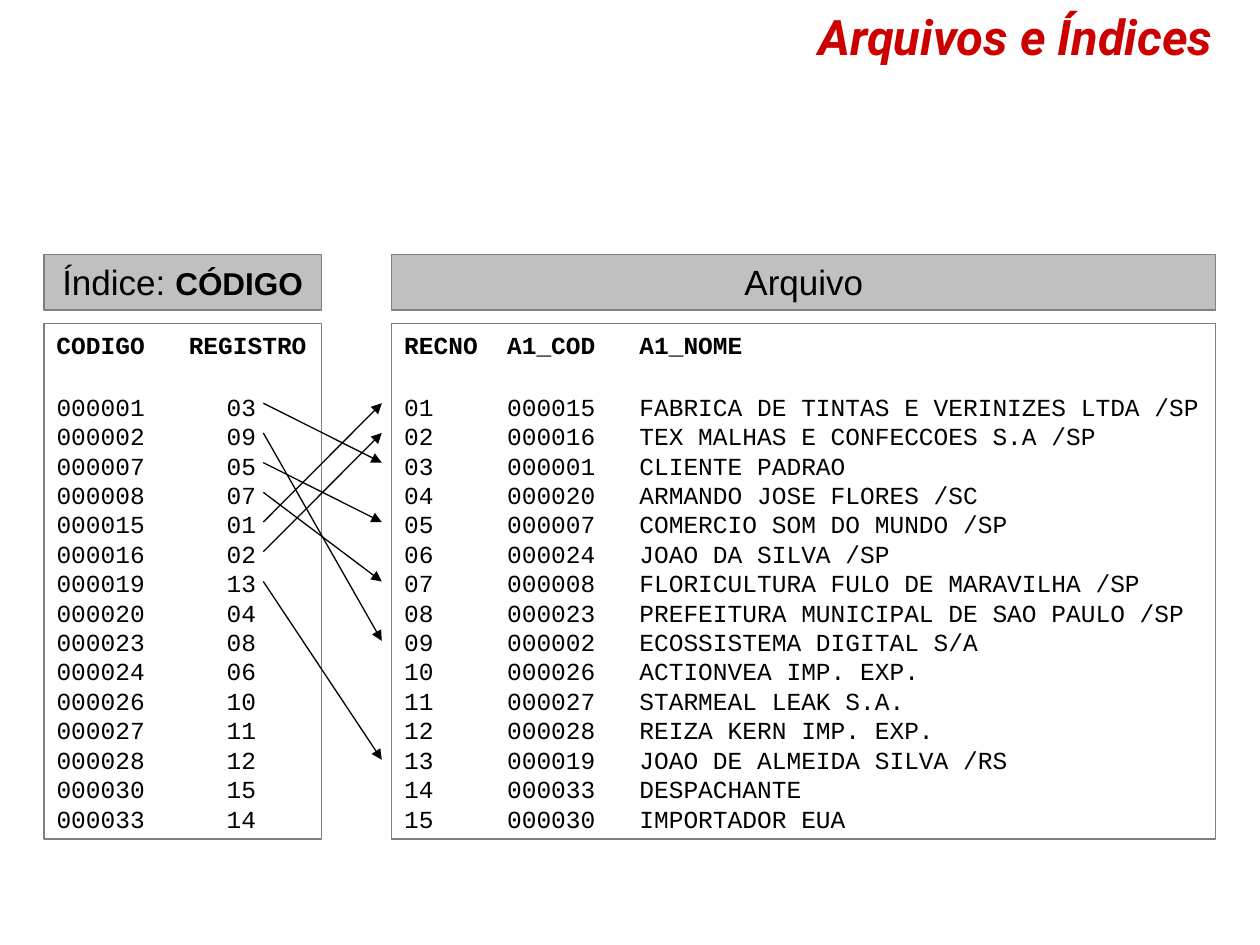
from dataclasses import dataclass

from lxml.etree import SubElement
from pptx import Presentation
from pptx.dml.color import RGBColor
from pptx.enum.shapes import MSO_CONNECTOR, MSO_SHAPE
from pptx.enum.text import MSO_ANCHOR, MSO_AUTO_SIZE, PP_ALIGN
from pptx.oxml.ns import qn
from pptx.util import Inches, Pt

CHAR = 0.7 / 6
ROW = 2.83 / 12
LINKED_ROWS = 7
INDEX = [
    ("000001", "03"), ("000002", "09"), ("000007", "05"), ("000008", "07"),
    ("000015", "01"), ("000016", "02"), ("000019", "13"), ("000020", "04"),
    ("000023", "08"), ("000024", "06"), ("000026", "10"), ("000027", "11"),
    ("000028", "12"), ("000030", "15"), ("000033", "14"),
]
CLIENTS = [
    ("000015", "FABRICA DE TINTAS E VERINIZES LTDA /SP"),
    ("000016", "TEX MALHAS E CONFECCOES S.A /SP"),
    ("000001", "CLIENTE PADRAO"),
    ("000020", "ARMANDO JOSE FLORES /SC"),
    ("000007", "COMERCIO SOM DO MUNDO /SP"),
    ("000024", "JOAO DA SILVA /SP"),
    ("000008", "FLORICULTURA FULO DE MARAVILHA /SP"),
    ("000023", "PREFEITURA MUNICIPAL DE SAO PAULO /SP"),
    ("000002", "ECOSSISTEMA DIGITAL S/A"),
    ("000026", "ACTIONVEA IMP. EXP."),
    ("000027", "STARMEAL LEAK S.A."),
    ("000028", "REIZA KERN IMP. EXP."),
    ("000019", "JOAO DE ALMEIDA SILVA /RS"),
    ("000033", "DESPACHANTE"),
    ("000030", "IMPORTADOR EUA"),
]
RECORDS = [(f"{n:02}", *client) for n, client in enumerate(CLIENTS, 1)]
MONO = {"name": "Courier New", "size": Pt(14)}
MONO_BOLD = MONO | {"bold": True}
HEADING = {"name": "Arial", "size": Pt(20)}
HEADING_BOLD = HEADING | {"size": Pt(18), "bold": True}
TITLE = {"name": "Roboto", "size": Pt(28), "bold": True, "italic": True}


@dataclass
class Panel:
    """A headed listing with column stops in inches."""
    left: float
    width: float
    heading: list
    columns: tuple
    rows: list
    head_width: float
    body_width: float
    head_stops: tuple
    body_stops: tuple


def rgb(value: str) -> RGBColor:
    """Turn a hex string into a colour."""
    return RGBColor.from_string(value)


def add_paragraph(p, runs: list, color="000000", align=PP_ALIGN.LEFT, stops=()) -> None:
    """Fill a paragraph with formatted runs and tab stops."""
    p.alignment = align
    if stops:
        tabs = SubElement(p._p.get_or_add_pPr(), qn("a:tabLst"))
        for stop in stops:
            SubElement(tabs, qn("a:tab"), pos=str(int(Inches(stop))), algn="l")
    for text, font in runs:
        r = p.add_run()
        r.text = text
        r.font.color.rgb = rgb(color)
        for name, value in font.items():
            setattr(r.font, name, value)


def add_text(s, box: tuple, lines: list, **style) -> None:
    """Add a text box with one paragraph per line."""
    tf = s.shapes.add_textbox(*map(Inches, box)).text_frame
    tf.word_wrap = True
    tf.auto_size = MSO_AUTO_SIZE.SHAPE_TO_FIT_TEXT
    for i, runs in enumerate(lines):
        add_paragraph(tf.add_paragraph() if i else tf.paragraphs[0], runs, **style)


def add_box(s, box: tuple, fill: str):
    """Add a grey-edged rectangle."""
    sp = s.shapes.add_shape(MSO_SHAPE.RECTANGLE, *map(Inches, box))
    sp.shadow.inherit = False
    sp.fill.solid()
    sp.fill.fore_color.rgb = rgb(fill)
    sp.line.color.rgb = rgb("808080")
    sp.line.width = Pt(0.75)
    return sp


def add_panel(s, panel: Panel) -> None:
    """Draw the heading bar, frame, column names and rows."""
    add_box(s, (panel.left, 2.57, panel.width, 4.09), "FFFFFF")
    bar = add_box(s, (panel.left, 2.02, panel.width, 0.44), "C0C0C0")
    tf = bar.text_frame
    tf.word_wrap = True
    tf.vertical_anchor = MSO_ANCHOR.TOP
    add_paragraph(tf.paragraphs[0], panel.heading, align=PP_ALIGN.CENTER)
    add_text(s, (panel.left, 2.57, panel.head_width, 0.34),
             [[("\t".join(panel.columns), MONO_BOLD)]], stops=panel.head_stops)
    add_text(s, (panel.left, 3.06, panel.body_width, 3.6),
             [[("\t".join(row), MONO)] for row in panel.rows], stops=panel.body_stops)


def add_arrow(s, source_row: int, target_row: int) -> None:
    """Link an index row to its record."""
    ends = (2.09, 3.2 + ROW * source_row, 3.03, 3.2 + ROW * target_row)
    c = s.shapes.add_connector(MSO_CONNECTOR.STRAIGHT, *map(Inches, ends))
    c.line.color.rgb = rgb("000000")
    c.line.width = Pt(0.75)
    SubElement(c.line._get_or_add_ln(), qn("a:tailEnd"), type="triangle")
    SubElement(c._element.spPr, qn("a:effectLst"))


def main() -> None:
    """Build and save the slide."""
    prs = Presentation()
    prs.slide_width, prs.slide_height = Inches(10), Inches(7.5)
    s = prs.slides.add_slide(prs.slide_layouts[6])
    record_stops = (7 * CHAR, 16 * CHAR)
    panels = [
        Panel(3.11, 6.54, [("Arquivo", HEADING)], ("RECNO", "A1_COD", "A1_NOME"),
              RECORDS, 2.89, 6.69, record_stops, record_stops),
        Panel(0.35, 2.2, [("Índice: ", HEADING), ("CÓDIGO", HEADING_BOLD)],
              ("CODIGO", "REGISTRO"), INDEX, 2.2, 1.81, (9 * CHAR,), (1.35,)),
    ]
    for panel in panels:
        add_panel(s, panel)
    for i, (_, record) in enumerate(INDEX[:LINKED_ROWS]):
        add_arrow(s, i, int(record) - 1)
    add_text(s, (0.27, 0, 9.45, 0.57), [[("Arquivos e Índices", TITLE)]],
             color="CC0000", align=PP_ALIGN.RIGHT)
    prs.save("out.pptx")


if __name__ == "__main__":
    main()
